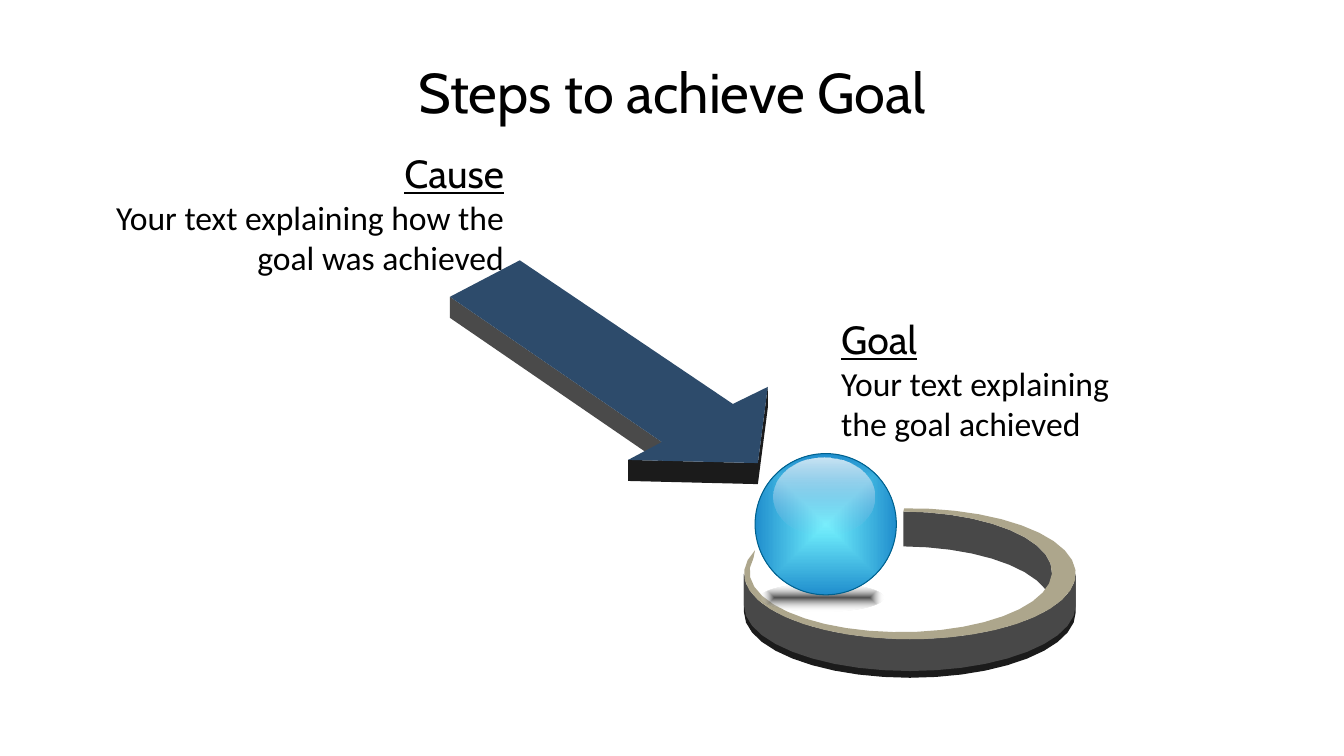
from math import cos, radians, sin

from lxml import etree
from pptx import Presentation
from pptx.dml.color import RGBColor
from pptx.enum import shapes, text
from pptx.oxml import ns
from pptx.util import Cm, Pt

HUES = {
    "black": "000000", "blue": "2D4B6B", "side": "4A4A4A", "dark": "1B1B1B",
    "sand": "ADA68C", "wall": "484848", "rim": "00618E",
    "shade": "171717", "white": "FFFFFF", "aqua": "74F4FF",
    "deep": "208ECD", "pale": "8EB4E3",
}


def draw(points, hue):
    """Add a filled outline through points given in centimetres."""
    spots = [(Cm(x), Cm(y)) for x, y in points]
    pen = slide.shapes.build_freeform(*spots[0], scale=1.0)
    pen.add_line_segments(spots[1:], close=True)
    form = pen.convert_to_shape()
    form.shadow.inherit = False
    form.fill.solid()
    form.fill.fore_color.rgb = RGBColor.from_string(HUES[hue])
    form.line.fill.background()


def arc(oval, start, end, drop=0):
    """Return points on an oval, about one for every nine degrees."""
    x, y, wide, high = oval
    count = round(abs(end - start) / 9)
    turns = [radians(start + (end - start) * i / count)
             for i in range(count + 1)]
    return [(x + wide * cos(t), y + high * sin(t) + drop) for t in turns]


deck = Presentation()
deck.slide_width, deck.slide_height = Cm(33.87), Cm(19.05)
slide = deck.slides.add_slide(deck.slide_layouts[6])

# Ring: walls first, then the top face over them
outer = (22.93, 14.46, 4.18, 1.65)
inner = (22.7, 14.41, 3.81, 1.52)
walls = [
    (inner, -89, 1, 0.88, "wall"),
    (outer, 0, 180, 0.97, "dark"),
    (outer, 0, 180, 0.8, "wall"),
]
for oval, start, end, depth, hue in walls:
    draw(arc(oval, start, end) + arc(oval, end, start, depth), hue)
draw(arc(outer, -92, 201) + arc(inner, 193, -89), "sand")

# Ball: ground shadow, body, highlight
# stops are (colour, opacity in percent)
ball = [
    (19.18, 14.71, 3.08, 0.71, [("shade", 76), ("white", 0)], True),
    (19.03, 11.43, 3.56, 3.56, [("aqua", 100), ("deep", 100)], True),
    (19.5, 11.53, 2.54, 1.96, [("white", 77), ("pale", 0)], False),
]
for left, top, wide, high, stops, round_fill in ball:
    oval = slide.shapes.add_shape(
        shapes.MSO_SHAPE.OVAL, Cm(left), Cm(top), Cm(wide), Cm(high))
    oval.shadow.inherit = False
    oval.line.fill.background()
    if stops[0][0] == "aqua":
        oval.line.color.rgb = RGBColor.from_string(HUES["rim"])
        oval.line.width = Pt(0.75)
    oval.fill.gradient()
    grad = oval.fill._fill._gradFill
    for child in list(grad):
        grad.remove(child)
    row = etree.SubElement(grad, ns.qn("a:gsLst"))
    for place, (hue, alpha) in zip((0, 100000), stops):
        stop = etree.SubElement(row, ns.qn("a:gs"), pos=str(place))
        tint = etree.SubElement(stop, ns.qn("a:srgbClr"), val=HUES[hue])
        etree.SubElement(tint, ns.qn("a:alpha"), val=str(alpha * 1000))
    if round_fill:
        way = etree.SubElement(grad, ns.qn("a:path"), path="shape")
        half = dict.fromkeys("ltrb", "50000")
        etree.SubElement(way, ns.qn("a:fillToRect"), **half)
    else:
        etree.SubElement(grad, ns.qn("a:lin"), ang="5400000", scaled="0")

# Arrow: sides first, then the top face
tail, neck, barb = (11.34, 7.48), (16.68, 11.14), (15.83, 11.59)
tip, wing = (19.1, 11.67), (19.35, 9.75)
edges = [([tail, neck], "side"), ([barb, tip, wing], "dark")]
for edge, hue in edges:
    draw(edge + [(x, y + 0.53) for x, y in reversed(edge)], hue)
draw([(13.1, 6.56), (18.47, 10.18), wing, tip, barb, neck, tail], "blue")

# Text
align = text.PP_ALIGN
boxes = [
    (5.51, 0.7, 22.86, 3.18, align.CENTER,
     [("Steps to achieve Goal", 40, "Cabin", False)]),
    (20.95, 7.83, 8.08, 3.51, align.LEFT,
     [("Goal", 28, "Cabin", True),
      ("Your text explaining the goal achieved", 24, "Calibri", False)]),
    (2.54, 3.65, 10.41, 3.51, align.RIGHT,
     [("Cause", 28, "Cabin", True),
      ("Your text explaining how the goal was achieved", 24, "Calibri",
       False)]),
]
for left, top, wide, high, side, lines in boxes:
    box = slide.shapes.add_textbox(Cm(left), Cm(top), Cm(wide), Cm(high))
    frame = box.text_frame
    frame.word_wrap = True
    if side == align.CENTER:
        frame.vertical_anchor = text.MSO_ANCHOR.MIDDLE
    frame.text = "\n".join(line[0] for line in lines)
    for para, (_, size, face, under) in zip(frame.paragraphs, lines):
        para.alignment = side
        font = para.runs[0].font
        font.size, font.name, font.underline = Pt(size), face, under
        font.color.rgb = RGBColor.from_string(HUES["black"])

deck.save("out.pptx")
